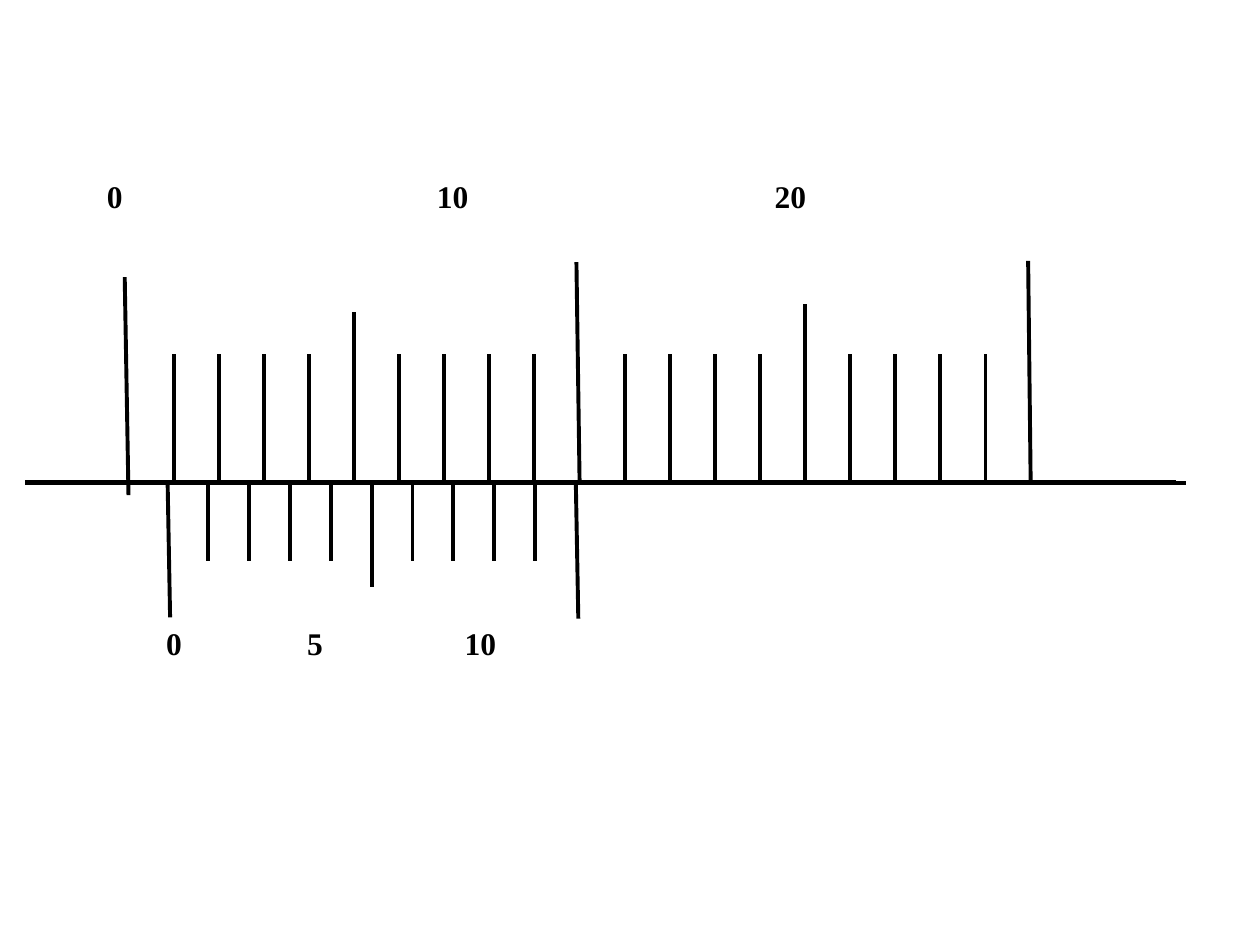
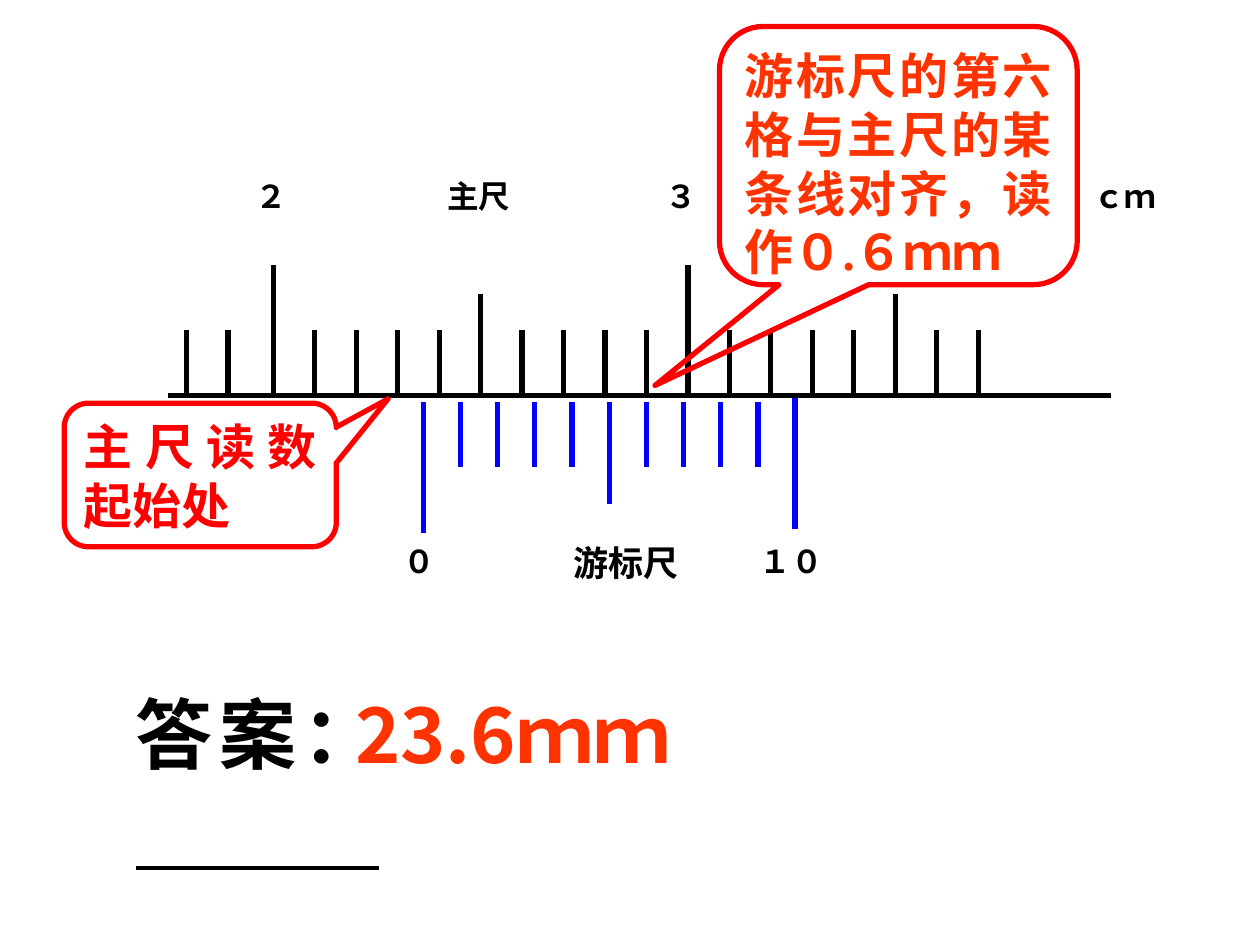
from lxml import etree
from pptx import Presentation
from pptx.dml.color import RGBColor
from pptx.enum.shapes import MSO_CONNECTOR as CONN, MSO_SHAPE as SHAPE
from pptx.enum.text import MSO_ANCHOR as ANCHOR, PP_ALIGN as ALIGN
from pptx.oxml.ns import qn
from pptx.util import Inches, Pt

COLS, ROWS = 100, 75
CELL = Inches(10) / COLS
BLACK, BLUE, RED, ORANGE = "000000", "0000FF", "FF0000", "FF3300"
LATIN, CJK = "Times New Roman", "Noto Sans CJK SC"


def cells(*values):
    return [round(v * CELL) for v in values]


def colour(hex_text):
    return RGBColor.from_string(hex_text)


def add_line(s, x1, y1, x2, y2, hex_text=BLACK, width=3):
    c = s.shapes.add_connector(CONN.STRAIGHT, *cells(x1, y1, x2, y2))
    c.line.color.rgb = colour(hex_text)
    c.line.width = Pt(width)
    etree.SubElement(c._element.spPr, qn("a:effectLst"))


def add_ticks(s, x, gap, count, base, end, special=None, hex_text=BLACK, width=3):
    for i in range(count):
        tick_end, lean, tick_base = (special or {}).get(i, (end, 0, base))
        tick_x = x + i * gap
        add_line(s, tick_x, tick_base, tick_x + lean, tick_end, hex_text, width)


def write(sp, text, size, hex_text, cjk=True, latin=LATIN, align=ALIGN.JUSTIFY):
    tf = sp.text_frame
    tf.word_wrap = True
    tf.vertical_anchor = ANCHOR.TOP
    tf.text = text
    p = tf.paragraphs[0]
    p.alignment = align
    r = p.runs[0]
    r.font.name, r.font.size, r.font.bold = latin, Pt(size), True
    r.font.color.rgb = colour(hex_text)
    if cjk:
        p.line_spacing = Pt(1.2 * size)
        ea = etree.SubElement(r._r.get_or_add_rPr(), qn("a:ea"))
        ea.set("typeface", CJK)
    return r


def add_label(s, x, y, w, h, text, size=18, hex_text=BLACK, **style):
    sp = s.shapes.add_textbox(*cells(x, y, w, h))
    return sp, write(sp, text, size, hex_text, **style)


def add_callout(s, x, y, w, h, text, tail, hex_text, fill=None):
    sp = s.shapes.add_shape(SHAPE.ROUNDED_RECTANGULAR_CALLOUT, *cells(x, y, w, h))
    sp.shadow.inherit = False
    for i, value in enumerate((*tail, 0.17)):
        sp.adjustments[i] = value
    if fill:
        sp.fill.solid()
        sp.fill.fore_color.rgb = colour(fill)
    else:
        sp.fill.background()
    sp.line.color.rgb = colour(RED)
    sp.line.width = Pt(3)
    write(sp, text, 28, hex_text)


def build_scale(s):
    base, vernier = 38.3, 38.1
    add_line(s, 2, base, 93.3, base)
    add_line(s, 10.3, base, 94.1, base, width=2.25)
    add_ticks(s, 10.2, 3.58, 21, base, 28.1, {
        0: (22, -0.3, 39.3), 5: (24.8, 0, base), 10: (20.8, -0.25, base),
        15: (24.1, 0, base), 20: (20.7, -0.2, base)}, width=2.25)
    add_ticks(s, 13.3, 3.24, 11, vernier, 44.5, {
        0: (49, 0.2, vernier), 5: (46.6, 0, vernier),
        10: (49.1, 0.2, vernier)}, width=2.25)
    rows = {13.6: [(7.5, "0"), (33.7, "10"), (60.5, "20")],
            49: [(12.2, "0"), (23.4, "5"), (35.9, "10")]}
    for y, labels in rows.items():
        for x, text in labels:
            add_label(s, x, y, 6, 5, text, cjk=False, align=ALIGN.LEFT)


def build_reading(s):
    base, vernier = 31.4, 31.9
    add_line(s, 13.3, base, 88.2, base)
    add_ticks(s, 14.8, 3.3, 2, base, 26.2)
    major, middle = (21, 0, base), (23.3, 0, base)
    add_ticks(s, 21.7, 3.29, 18, base, 26.2,
              {0: major, 5: middle, 10: major, 15: middle})
    add_ticks(s, 33.6, 2.95, 11, vernier, 37.1, {
        0: (42.3, 0, vernier), 5: (40, 0, vernier), 10: (42, 0, 31.6)}, BLUE)

    for x, y, text in [(34.5, 13.6, "主尺"), (51.8, 13.6, "３"), (19.3, 13.6, "２"),
                       (31, 42.5, "０"), (59.3, 42.5, "１０"), (85.8, 13.6, "ｃｍ")]:
        add_label(s, x, y, 9.1, 6.7, text)
    add_label(s, 44.5, 42.5, 11, 6.7, "游标尺", 20)

    add_callout(s, 57.1, 2.1, 28.4, 20.5, "游标尺的第六格与主尺的某条线对齐，读作０.６ｍｍ",
                (-0.68, 0.89), ORANGE)
    add_callout(s, 5.1, 32, 21.6, 11.4, "主尺读数起始处", (0.69, -0.53), RED, "FFFFFF")

    sp, r = add_label(s, 9.8, 54, 21.3, 8.3, "答案：", 44, align=ALIGN.LEFT)
    sp.text_frame.word_wrap = False
    r._r.get_or_add_rPr().set("spc", "360")
    add_line(s, 10.8, 68.9, 30.1, 68.9, width=2.25)
    add_label(s, 27.2, 54, 30.7, 8.3, "23.6ｍｍ", 44, ORANGE,
              latin=CJK, align=ALIGN.LEFT)


def main():
    prs = Presentation()
    prs.slide_width, prs.slide_height = cells(COLS, ROWS)
    for build in (build_scale, build_reading):
        build(prs.slides.add_slide(prs.slide_layouts[6]))
    prs.save("out.pptx")


if __name__ == "__main__":
    main()
